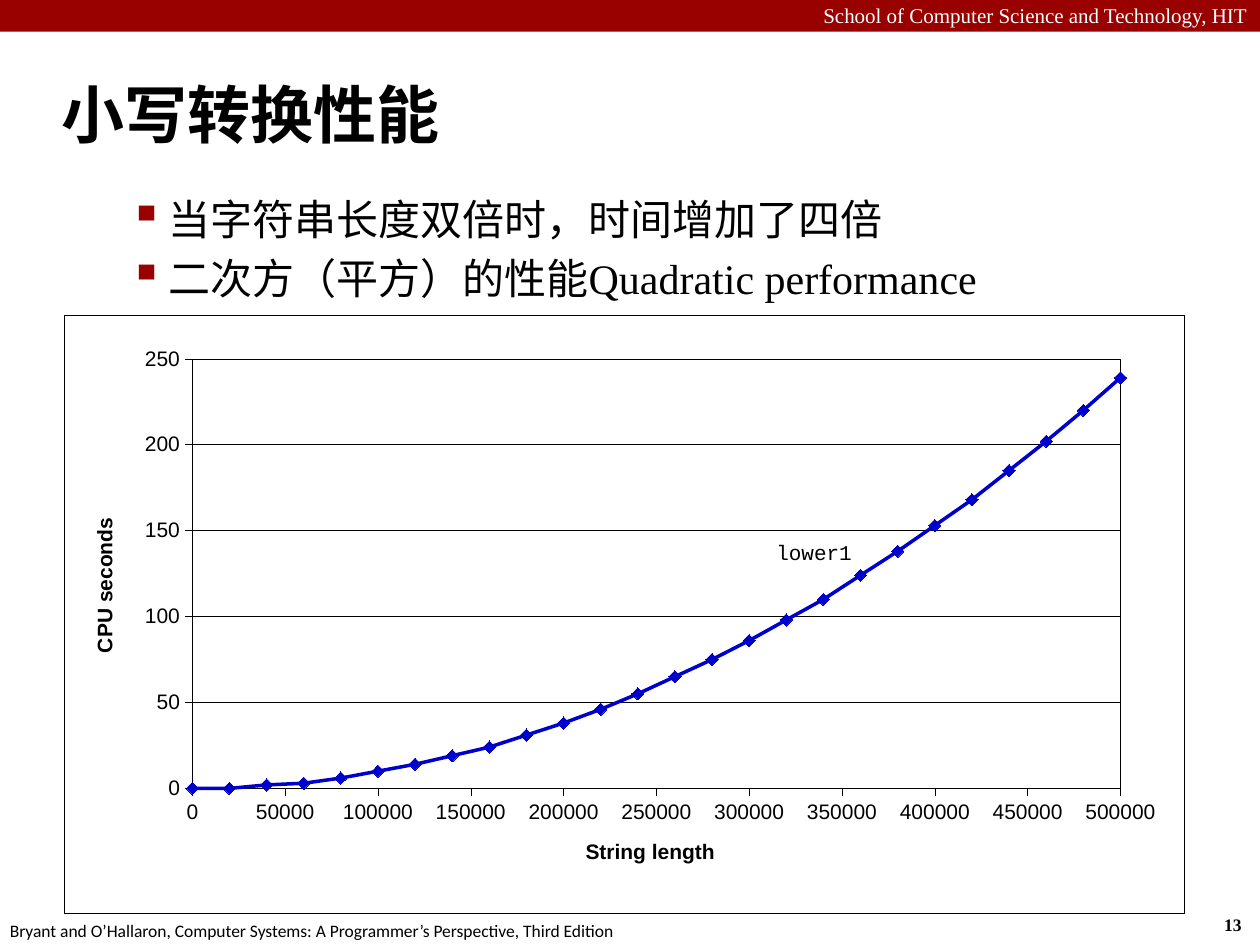
"""Build the slide on the quadratic running time of lower-case conversion."""
from dataclasses import dataclass, field

from lxml import etree
from pptx import Presentation
from pptx import util as u
from pptx.chart.data import XyChartData
from pptx.dml.color import RGBColor
from pptx.enum import chart as ch
from pptx.enum import shapes, text
from pptx.oxml import parse_xml
from pptx.oxml.ns import nsdecls, qn

CRIMSON = RGBColor(0x99, 0x00, 0x00)
BLACK = RGBColor(0x00, 0x00, 0x00)
WHITE = RGBColor(0xFF, 0xFF, 0xFF)
CURVE_BLUE = RGBColor(0x00, 0x00, 0xCC)
HAIRLINE = u.Pt(0.25)
STEP = 20000
SECONDS = (0, 0, 2, 3, 6, 10, 14, 19, 24, 31, 38, 46, 55, 65, 75, 86, 98,
           110, 124, 138, 153, 168, 185, 202, 220, 239)


@dataclass
class Label:
    """Text block with its box in centimetres and its formats."""
    lines: tuple
    box: tuple
    size: float
    font: str
    color: RGBColor = BLACK
    bold: bool = False
    frame: dict = field(default_factory=dict)
    paragraph: dict = field(default_factory=dict)
    bulleted: bool = False


@dataclass
class AxisPlan:
    """Title and scale of one chart axis."""
    title: str
    maximum: int
    unit: int
    gridlines: bool


LABELS = (
    Label(("School of Computer Science and Technology, HIT",),
          (0, -0.08, 25.4, 0.76), 12, "Times New Roman", WHITE,
          paragraph={"alignment": text.PP_ALIGN.RIGHT}),
    Label(("13",), (24.43, 18.31, 0.94, 0.69), 10, "Times New Roman",
          bold=True, frame={"word_wrap": False}),
    Label(("Bryant and O’Hallaron, Computer Systems: "
           "A Programmer’s Perspective, Third Edition",),
          (-0.05, 18.42, 12.9, 0.69), 10, "Calibri",
          frame={"word_wrap": False}),
    Label(("小写转换性能",), (0.99, 1.22, 24.41, 2.11), 36, "Calibri",
          bold=True, frame={"vertical_anchor": text.MSO_ANCHOR.MIDDLE}),
    Label(("当字符串长度双倍时，时间增加了四倍",
           "二次方（平方）的性能Quadratic performance"),
          (1.09, 3.78, 23.88, 14.63), 24, "Times New Roman", bulleted=True),
)
CURVE_LABEL = Label(
    ("lower1",), (15.57, 10.8, 1.63, 0.61), 12, "Courier New",
    frame={"word_wrap": False, "margin_left": u.Cm(0.08),
           "margin_top": u.Cm(0.08), "margin_right": 0, "margin_bottom": 0})
LENGTH_AXIS = AxisPlan("String length", 500000, 50000, False)
SECONDS_AXIS = AxisPlan("CPU seconds", 250, 50, True)


def apply(target, formats: dict) -> None:
    """Set each named attribute on the target."""
    for name, value in formats.items():
        setattr(target, name, value)


def place(box: tuple) -> list:
    """Turn a box in centimetres into lengths."""
    return [u.Cm(side) for side in box]


def add_bullet(paragraph) -> None:
    """Give a paragraph a small crimson square and a hanging indent."""
    properties = paragraph._p.get_or_add_pPr()
    properties.set("marL", str(u.Cm(2.06)))
    properties.set("indent", str(-u.Cm(0.79)))
    for markup in ('<a:spcBef {}><a:spcPct val="20000"/></a:spcBef>',
                   f'<a:buClr {{}}><a:srgbClr val="{CRIMSON}"/></a:buClr>',
                   '<a:buSzPct {} val="110000"/>',
                   '<a:buChar {} char="▪"/>'):
        properties.append(parse_xml(markup.format(nsdecls("a"))))


def draw_label(slide, label: Label) -> None:
    """Add one text block."""
    frame = slide.shapes.add_textbox(*place(label.box)).text_frame
    apply(frame, {"word_wrap": True, **label.frame})
    for index, line in enumerate(label.lines):
        paragraph = frame.add_paragraph() if index else frame.paragraphs[0]
        apply(paragraph, label.paragraph)
        if label.bulleted:
            add_bullet(paragraph)
        run = paragraph.add_run()
        run.text = line
        apply(run.font, {"size": u.Pt(label.size), "name": label.font,
                         "bold": label.bold})
        run.font.color.rgb = label.color


def style_line(line, color: RGBColor, width: int) -> None:
    """Colour a line and set its width."""
    line.color.rgb = color
    line.width = width


def style_font(font, bold: bool) -> None:
    """Set the chart font."""
    apply(font, {"size": u.Pt(12), "name": "Arial", "bold": bold})
    font.color.rgb = BLACK


def style_axis(axis, plan: AxisPlan) -> None:
    """Scale, title and draw one axis."""
    apply(axis, {"minimum_scale": 0, "maximum_scale": plan.maximum,
                 "major_unit": plan.unit,
                 "has_major_gridlines": plan.gridlines,
                 "major_tick_mark": ch.XL_TICK_MARK.OUTSIDE,
                 "minor_tick_mark": ch.XL_TICK_MARK.NONE})
    apply(axis.tick_labels, {"number_format": "General",
                             "number_format_is_linked": False})
    style_font(axis.tick_labels.font, False)
    style_line(axis.format.line, BLACK, HAIRLINE)
    if plan.gridlines:
        style_line(axis.major_gridlines.format.line, BLACK, HAIRLINE)
    title = axis.axis_title.text_frame
    title.text = plan.title
    style_font(title.paragraphs[0].runs[0].font, True)


def outlined(fill: str):
    """Return chart shape properties with a thin black outline."""
    return parse_xml(
        f'<c:spPr {nsdecls("c", "a")}>{fill}<a:ln w="{HAIRLINE}"><a:solidFill>'
        f'<a:srgbClr val="{BLACK}"/></a:solidFill></a:ln></c:spPr>')


def frame_chart(chart) -> None:
    """Outline the chart and fix the place of its plot area."""
    space = chart._chartSpace
    space.find(qn("c:chart")).addnext(outlined(
        f'<a:solidFill><a:srgbClr val="{WHITE}"/></a:solidFill>'))
    plot_area = space.find(qn("c:chart")).find(qn("c:plotArea"))
    for old in plot_area.findall(qn("c:layout")):
        plot_area.remove(old)
    layout = parse_xml(f'<c:layout {nsdecls("c")}><c:manualLayout/></c:layout>')
    for tag, value in (("layoutTarget", "inner"), ("xMode", "edge"),
                       ("yMode", "edge"), ("x", "0.114"), ("y", "0.073"),
                       ("w", "0.829"), ("h", "0.718")):
        etree.SubElement(layout[0], qn(f"c:{tag}")).set("val", value)
    plot_area.insert(0, layout)
    plot_area.append(outlined("<a:noFill/>"))


def draw_chart(slide) -> None:
    """Add the curve of CPU seconds over string length."""
    data = XyChartData()
    points = data.add_series("lower1")
    for index, seconds in enumerate(SECONDS):
        points.add_data_point(index * STEP, seconds)
    chart = slide.shapes.add_chart(
        ch.XL_CHART_TYPE.XY_SCATTER_SMOOTH,
        *place((1.3, 6.35, 22.58, 12.07)), data).chart
    apply(chart, {"has_legend": False, "has_title": False})
    chart.plots[0].vary_by_categories = False
    style_font(chart.font, False)
    style_axis(chart.category_axis, LENGTH_AXIS)
    style_axis(chart.value_axis, SECONDS_AXIS)
    curve = chart.plots[0].series[0]
    curve.smooth = True
    style_line(curve.format.line, CURVE_BLUE, u.Pt(2))
    apply(curve.marker, {"style": ch.XL_MARKER_STYLE.DIAMOND, "size": 7})
    curve.marker.format.fill.solid()
    curve.marker.format.fill.fore_color.rgb = CURVE_BLUE
    style_line(curve.marker.format.line, CURVE_BLUE, HAIRLINE)
    frame_chart(chart)


def main() -> None:
    """Build and save the slide."""
    deck = Presentation()
    apply(deck, {"slide_width": u.Cm(25.4), "slide_height": u.Cm(19.05)})
    slide = deck.slides.add_slide(deck.slide_layouts[6])
    banner = slide.shapes.add_shape(shapes.MSO_SHAPE.RECTANGLE,
                                    *place((0, 0, 25.4, 0.64)))
    banner.shadow.inherit = False
    banner.fill.solid()
    banner.fill.fore_color.rgb = CRIMSON
    banner.line.fill.background()
    for label in LABELS:
        draw_label(slide, label)
    draw_chart(slide)
    draw_label(slide, CURVE_LABEL)
    deck.save("out.pptx")


main()
